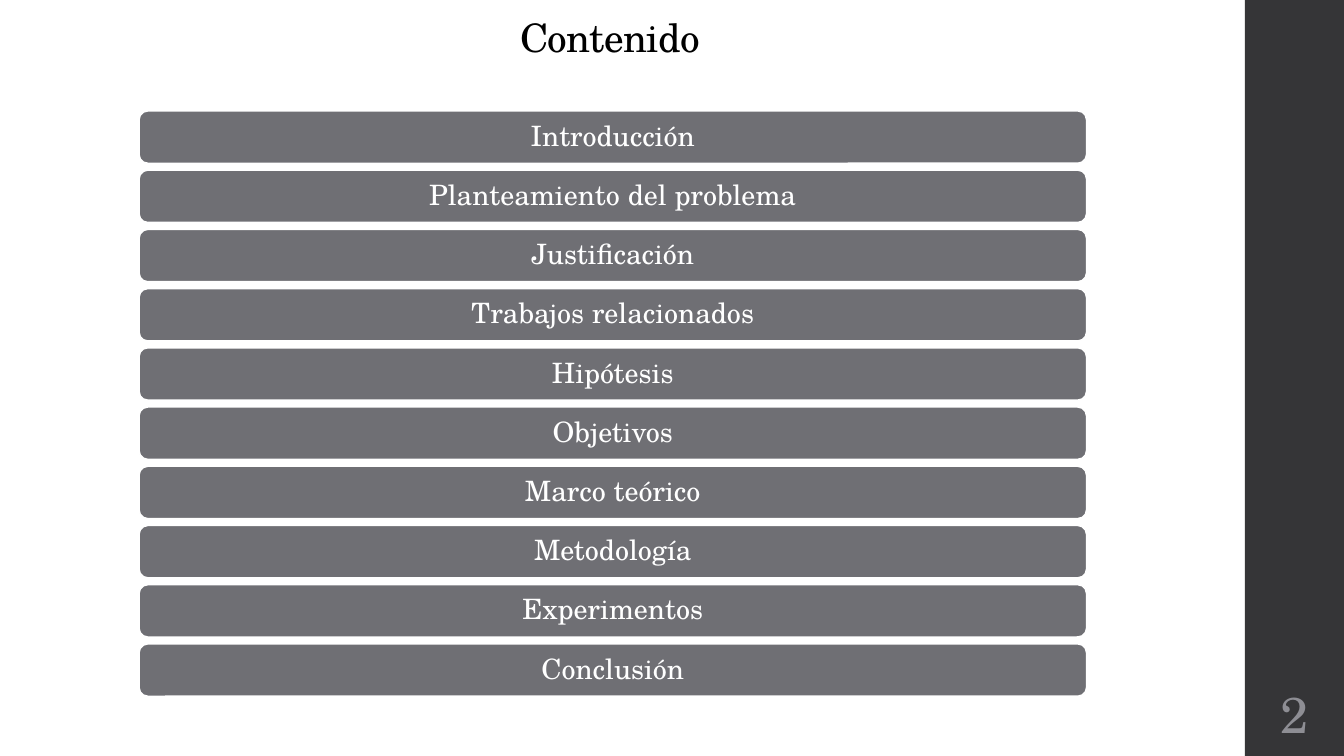
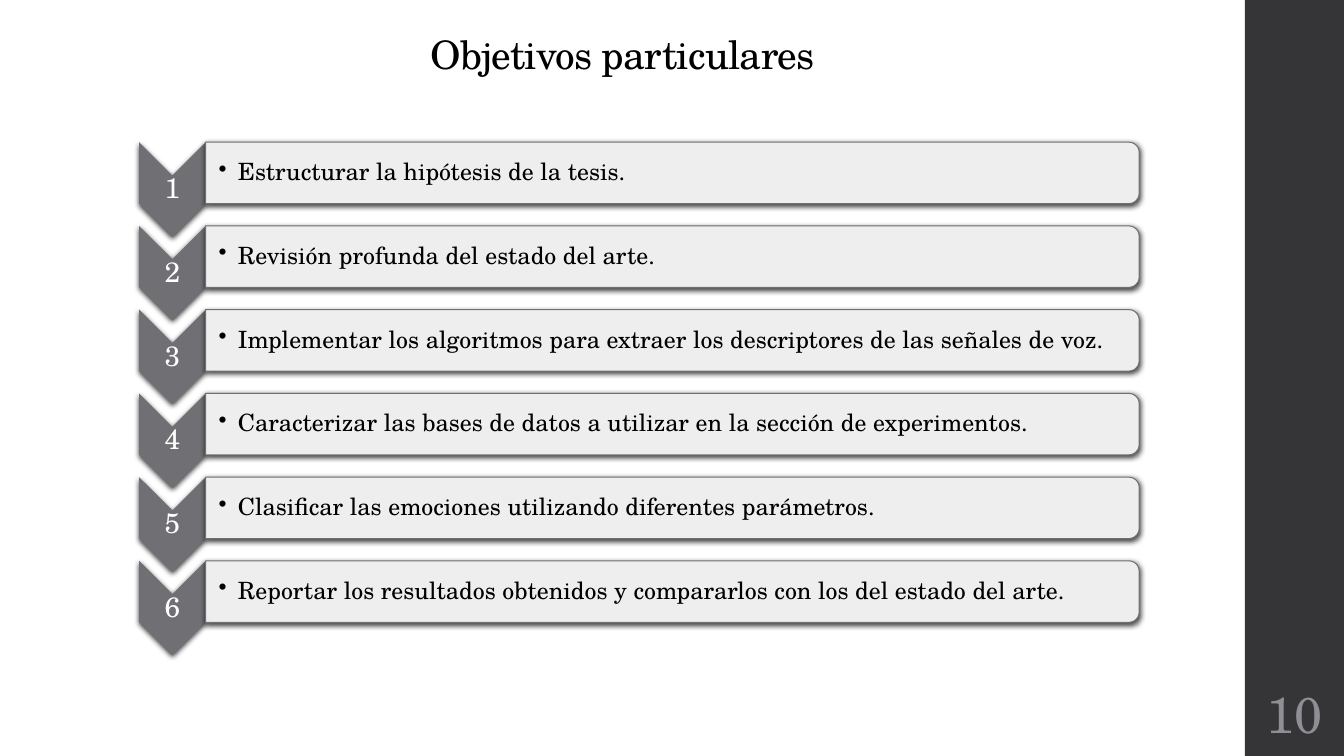
from dataclasses import dataclass
from typing import Any

from lxml import etree
from pptx import Presentation
from pptx.dml import color
from pptx.enum import shapes, text
from pptx.oxml import ns
from pptx.util import Inches, Pt

SLIDE_WIDTH, SLIDE_HEIGHT = Inches(13.33), Inches(7.5)
COLUMNS, ROWS = 160, 90
FONT = "TeX Gyre Schola"
COLORS = {
    "band": "353537",
    "bar": "6F6F74",
    "panel": "EEEEEE",
    "white": "FFFFFF",
    "black": "000000",
    "number": "8E8E94",
}


@dataclass(frozen=True)
class Box:
    left: float
    top: float
    width: float
    height: float

    def lower(self, rows: float) -> "Box":
        return Box(self.left, self.top + rows, self.width, self.height)

    def turned(self) -> "Box":
        shift = (self.width - self.height) / 2
        return Box(self.left + shift, self.top - shift, self.height, self.width)

    def lengths(self) -> tuple[int, int, int, int]:
        column, row = SLIDE_WIDTH / COLUMNS, SLIDE_HEIGHT / ROWS
        return (round(self.left * column), round(self.top * row),
                round(self.width * column), round(self.height * row))


@dataclass(frozen=True)
class TextStyle:
    size: float
    color: str
    inset: float = 0.05
    left_inset: float | None = None
    anchor: Any = text.MSO_ANCHOR.MIDDLE
    align: Any = text.PP_ALIGN.CENTER
    line_spacing: float = 0.9
    tracking: int = 0
    bullet: str = ""


@dataclass(frozen=True)
class ShapeStyle:
    kind: Any
    fill: str
    line: str = ""
    line_width: float = 0
    quarter_turn: bool = False
    shadow: bool = False


TITLE = TextStyle(28, "black", anchor=text.MSO_ANCHOR.BOTTOM, tracking=-50)
PAGE_NUMBER = TextStyle(36, "number", line_spacing=1.0)
TOPIC_TEXT = TextStyle(20, "white", inset=0.08)
STEP_NUMBER = TextStyle(20, "white", inset=0.01)
GOAL_TEXT = TextStyle(17, "black", inset=0.01, left_inset=0.13,
                      align=text.PP_ALIGN.LEFT, bullet="•")

BAND = ShapeStyle(shapes.MSO_SHAPE.RECTANGLE, "band")
TOPIC_BAR = ShapeStyle(shapes.MSO_SHAPE.ROUNDED_RECTANGLE, "bar", "white", 1.1)
CHEVRON = ShapeStyle(shapes.MSO_SHAPE.CHEVRON, "bar", quarter_turn=True, shadow=True)
GOAL_PANEL = ShapeStyle(shapes.MSO_SHAPE.ROUND_2_SAME_RECTANGLE, "panel", "bar", 0.75,
                        quarter_turn=True, shadow=True)

BAND_BOX = Box(148.2, 0, 11.8, ROWS)
PAGE_NUMBER_BOX = Box(148.2, 81, 11.8, 7.8)
TOPIC_BOX, TOPIC_PITCH = Box(16.56, 13.2, 112.8, 6.24), 7.05
CHEVRON_BOX, GOAL_PITCH = Box(16.56, 16.92, 7.92, 11.28), 9.97
STEP_NUMBER_BOX = Box(16.56, 20.88, 7.92, 3.36)
PANEL_BOX = Box(24.48, 16.92, 111.12, 7.32)
GOAL_TEXT_BOX = Box(24.48, 17.28, 110.76, 6.6)

TOPICS = [
    "Introducción", "Planteamiento del problema", "Justificación",
    "Trabajos relacionados", "Hipótesis", "Objetivos", "Marco teórico",
    "Metodología", "Experimentos", "Conclusión",
]
GOALS = [
    "Estructurar la hipótesis de la tesis.",
    "Revisión profunda del estado del arte.",
    "Implementar los algoritmos para extraer los descriptores de las señales de voz.",
    "Caracterizar las bases de datos a utilizar en la sección de experimentos.",
    "Clasificar las emociones utilizando diferentes parámetros.",
    "Reportar los resultados obtenidos y compararlos con los del estado del arte.",
]


def rgb(name: str) -> color.RGBColor:
    return color.RGBColor.from_string(COLORS[name])


def set_values(target: Any, values: dict[str, Any]) -> None:
    for name, value in values.items():
        setattr(target, name, value)


def add_bullet(paragraph: Any, character: str) -> None:
    properties = paragraph._p.get_or_add_pPr()
    properties.set("marL", str(Inches(0.19)))
    properties.set("indent", str(-Inches(0.19)))
    etree.SubElement(properties, ns.qn("a:buChar"), char=character)


def add_shadow(shape: Any) -> None:
    effects = shape._element.spPr.find(ns.qn("a:effectLst"))
    shadow = etree.SubElement(effects, ns.qn("a:outerShdw"), blurRad=str(Pt(4)),
                              dist=str(Pt(1.2)), dir="5400000", rotWithShape="0")
    shade = etree.SubElement(shadow, ns.qn("a:srgbClr"), val=COLORS["black"])
    etree.SubElement(shade, ns.qn("a:alpha"), val="75000")


def write(shape: Any, content: str, style: TextStyle) -> None:
    frame = shape.text_frame
    inset = Inches(style.inset)
    left = inset if style.left_inset is None else Inches(style.left_inset)
    set_values(frame, {
        "word_wrap": True, "vertical_anchor": style.anchor, "margin_left": left,
        "margin_right": inset, "margin_top": inset, "margin_bottom": inset,
    })
    paragraph = frame.paragraphs[0]
    set_values(paragraph, {"alignment": style.align, "line_spacing": style.line_spacing})
    if style.bullet:
        add_bullet(paragraph, style.bullet)
    run = paragraph.add_run()
    run.text = content
    set_values(run.font, {"name": FONT, "size": Pt(style.size)})
    run.font.color.rgb = rgb(style.color)
    if style.tracking:
        run._r.get_or_add_rPr().set("spc", str(style.tracking))


def add_text(slide: Any, box: Box, content: str, style: TextStyle) -> None:
    write(slide.shapes.add_textbox(*box.lengths()), content, style)


def add_shape(slide: Any, box: Box, style: ShapeStyle) -> Any:
    placed = box.turned() if style.quarter_turn else box
    shape = slide.shapes.add_shape(style.kind, *placed.lengths())
    shape.rotation = 90 if style.quarter_turn else 0
    shape.fill.solid()
    shape.fill.fore_color.rgb = rgb(style.fill)
    if style.line:
        shape.line.color.rgb = rgb(style.line)
        shape.line.width = Pt(style.line_width)
    else:
        shape.line.fill.background()
    shape.shadow.inherit = False
    if style.shadow:
        add_shadow(shape)
    return shape


def add_slide(presentation: Any, title: str, title_box: Box, number: int) -> Any:
    slide = presentation.slides.add_slide(presentation.slide_layouts[6])
    add_shape(slide, BAND_BOX, BAND)
    add_text(slide, title_box, title, TITLE)
    add_text(slide, PAGE_NUMBER_BOX, str(number), PAGE_NUMBER)
    return slide


def add_contents(presentation: Any) -> None:
    slide = add_slide(presentation, "Contenido", Box(9, 0, 127.2, 7.8), 2)
    for index, topic in enumerate(TOPICS):
        bar = add_shape(slide, TOPIC_BOX.lower(index * TOPIC_PITCH), TOPIC_BAR)
        write(bar, topic, TOPIC_TEXT)


def add_goals(presentation: Any) -> None:
    slide = add_slide(presentation, "Objetivos particulares", Box(0, 0, 148.2, 9.84), 10)
    for index, goal in enumerate(GOALS):
        drop = index * GOAL_PITCH
        add_shape(slide, CHEVRON_BOX.lower(drop), CHEVRON)
        add_text(slide, STEP_NUMBER_BOX.lower(drop), str(index + 1), STEP_NUMBER)
        add_shape(slide, PANEL_BOX.lower(drop), GOAL_PANEL)
        add_text(slide, GOAL_TEXT_BOX.lower(drop), goal, GOAL_TEXT)


def main() -> None:
    presentation = Presentation()
    set_values(presentation, {"slide_width": SLIDE_WIDTH, "slide_height": SLIDE_HEIGHT})
    add_contents(presentation)
    add_goals(presentation)
    presentation.save("out.pptx")


if __name__ == "__main__":
    main()
